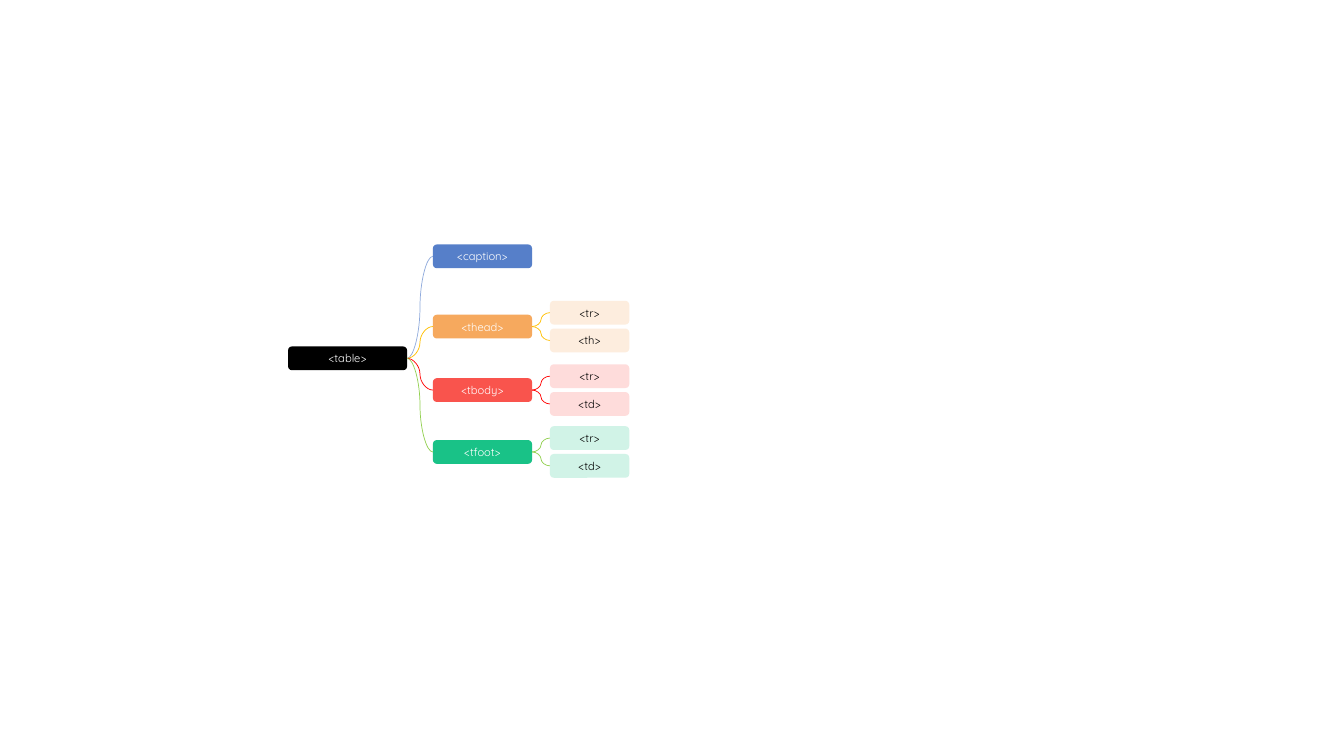
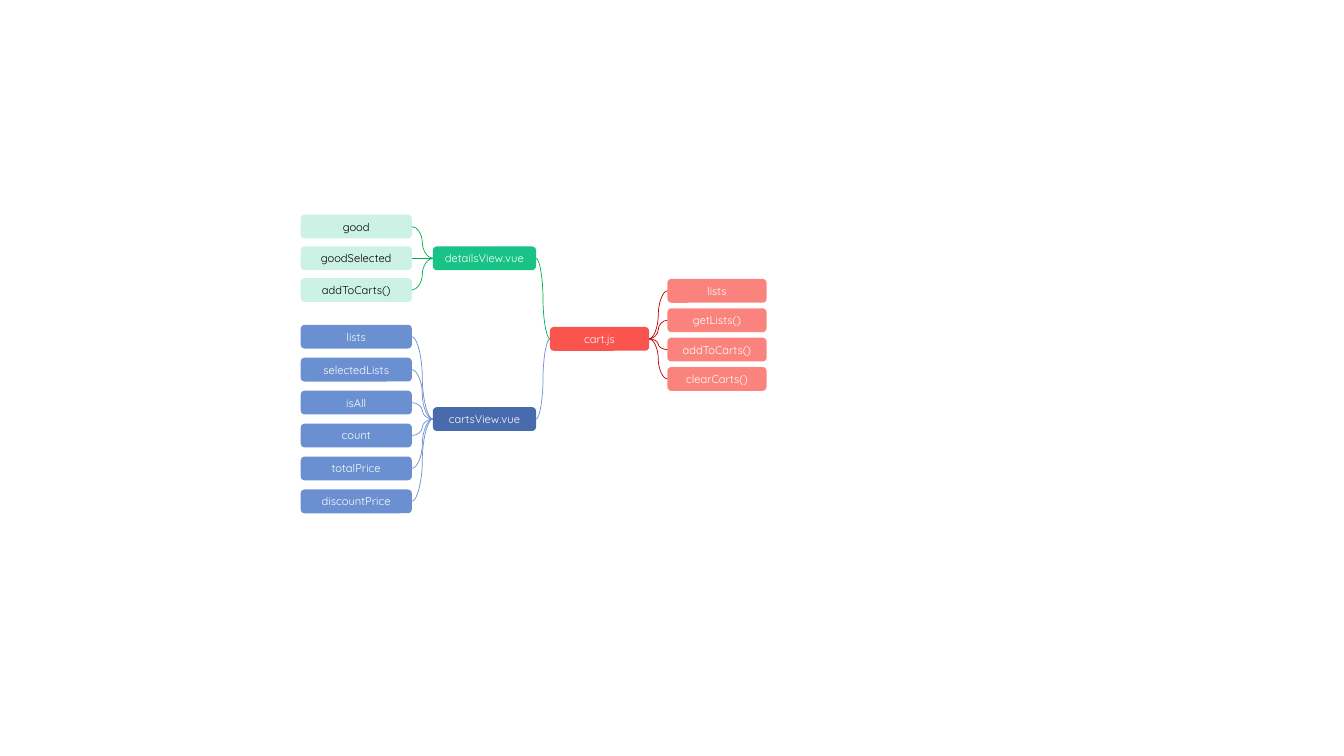
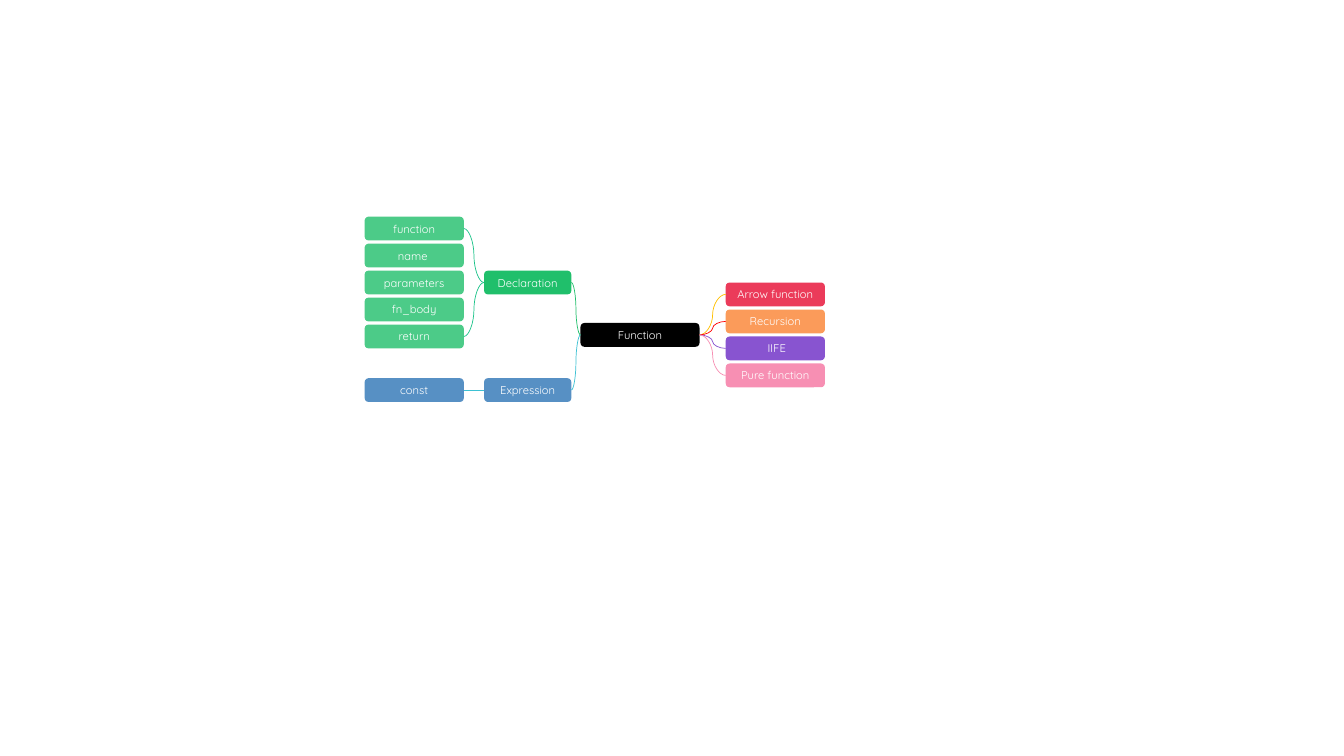
from lxml import etree
from pptx import Presentation
from pptx import util as u
from pptx.dml.color import RGBColor
from pptx.enum import shapes, text
from pptx.oxml.ns import qn

BLACK, WHITE = "000000", "FFFFFF"
BLUE, ORANGE, RED, GREEN = "4472C4", "F6A04D", "F9423A", "00BC7B"
MINT = "CCF2E5"


def rgb(value):
    return RGBColor.from_string(value)


def write(frame, content, font="Quicksand", size=8, color=WHITE):
    para = frame.paragraphs[0]
    para.alignment = text.PP_ALIGN.CENTER
    span = para.add_run()
    span.text = content
    span.font.name = font
    span.font.size = u.Pt(size)
    span.font.color.rgb = rgb(color)


class MindMap:
    node_height = 0.6
    line_width = 0.5
    left_site, right_site = 1, 3

    def __init__(self):
        self.deck = Presentation()
        self.deck.slide_width = u.Cm(33.87)
        self.deck.slide_height = u.Cm(19.05)
        self.page = None

    def new_page(self):
        self.page = self.deck.slides.add_slide(self.deck.slide_layouts[6])

    def node(self, content, left, middle, width, fill, opacity=100, color=WHITE):
        box = self.page.shapes.add_shape(
            shapes.MSO_SHAPE.ROUNDED_RECTANGLE,
            u.Cm(left), u.Cm(middle - self.node_height / 2),
            u.Cm(width), u.Cm(self.node_height))
        box.shadow.inherit = False
        box.line.fill.background()
        box.fill.solid()
        box.fill.fore_color.rgb = rgb(fill)
        if opacity < 100:
            tint = box.fill._xPr.find(qn("a:solidFill"))[0]
            etree.SubElement(tint, qn("a:alpha")).set("val", str(opacity * 1000))
        frame = box.text_frame
        frame.margin_left = frame.margin_right = 0
        frame.margin_top = frame.margin_bottom = 0
        frame.vertical_anchor = text.MSO_ANCHOR.MIDDLE
        write(frame, content, color=color)
        return box

    def column(self, contents, left, middle, pitch, width, fill, **style):
        first = (len(contents) - 1) / 2
        return [self.node(content, left, middle + (row - first) * pitch, width, fill, **style)
                for row, content in enumerate(contents)]

    def link(self, start, end, color):
        level = start.top == end.top
        kind = shapes.MSO_CONNECTOR.STRAIGHT if level else shapes.MSO_CONNECTOR.CURVE
        line = self.page.shapes.add_connector(kind, 0, 0, 0, 0)
        line.begin_connect(start, self.right_site)
        line.end_connect(end, self.left_site)
        line.line.color.rgb = rgb(color)
        line.line.width = u.Pt(self.line_width)
        etree.SubElement(line._element.spPr, qn("a:effectLst"))

    def fan_out(self, start, ends, color):
        for end in ends:
            self.link(start, end, color)

    def fan_in(self, starts, end, color):
        for start in starts:
            self.link(start, end, color)


def table_elements(chart):
    chart.new_page()
    table = chart.node("<table>", 7.26, 9.03, 3, BLACK)
    sections = [
        ("<caption>", 6.46, BLUE, "8FAADC", [], None),
        ("<thead>", 8.23, ORANGE, "FFC000", ["<tr>", "<th>"], "FDECDB"),
        ("<tbody>", 9.83, RED, "FF0000", ["<tr>", "<td>"], "FED9D8"),
        ("<tfoot>", 11.39, GREEN, "92D050", ["<tr>", "<td>"], MINT),
    ]
    for name, middle, fill, line, cells, pale in sections:
        section = chart.node(name, 10.91, middle, 2.5, fill, opacity=90)
        chart.link(table, section, line)
        leaves = chart.column(cells, 13.86, middle, 0.7, 2, pale, opacity=90, color=BLACK)
        chart.fan_out(section, leaves, line)


def cart_store(chart):
    chart.new_page()
    store = chart.node("cart.js", 13.86, 8.54, 2.5, RED, opacity=90)
    members = chart.column(["lists", "getLists()", "addToCarts()", "clearCarts()"],
                           16.82, 8.44, 0.74, 2.5, "FB837D")
    chart.fan_out(store, members, "C00000")
    views = [
        ("detailsView.vue", 6.51, GREEN, "00B050", 0.8,
         ["good", "goodSelected", "addToCarts()"],
         dict(fill=MINT, color=BLACK)),
        ("cartsView.vue", 10.56, "335BA3", "6D91D1", 0.83,
         ["lists", "selectedLists", "isAll", "count", "totalPrice", "discountPrice"],
         dict(fill="5C84CC", opacity=90)),
    ]
    for name, middle, fill, line, pitch, fields, style in views:
        view = chart.node(name, 10.91, middle, 2.6, fill, opacity=90)
        chart.link(view, store, line)
        leaves = chart.column(fields, 7.58, middle, pitch, 2.8, **style)
        chart.fan_in(leaves, view, line)


def function_kinds(chart):
    chart.new_page()
    pitch, center = 0.68, 8.44
    function = chart.node("Function", 14.63, center, 3, BLACK)
    kinds = [
        ("Arrow function", "EB3B5A", 100, "FFC000"),
        ("Recursion", "FA8231", 80, "FF0000"),
        (" IIFE", "8854D0", 100, "8854D0"),
        ("Pure function", "F78FB3", 100, "F78FB3"),
    ]
    for row, (name, fill, opacity, line) in enumerate(kinds):
        kind = chart.node(name, 18.29, center + (row - 1.5) * pitch, 2.5, fill, opacity=opacity)
        chart.link(function, kind, line)

    declaration = chart.node("Declaration", 12.2, 7.12, 2.2, "20BF6B")
    chart.link(declaration, function, "20BF6B")
    parts = chart.column(["function", "name ", "parameters", "fn_body", "return"],
                         9.19, 7.12, pitch, 2.5, "20BF6B", opacity=80)
    chart.fan_in([parts[0], parts[-1]], declaration, "1AC388")

    expression = chart.node("Expression", 12.2, 9.83, 2.2, "2E75B6", opacity=80)
    chart.link(expression, function, "3DC1D3")
    keyword = chart.node("const", 9.19, 9.83, 2.5, "2E75B6", opacity=80)
    chart.link(keyword, expression, "3DC1D3")


def main():
    chart = MindMap()
    table_elements(chart)
    cart_store(chart)
    function_kinds(chart)
    chart.deck.save("out.pptx")


if __name__ == "__main__":
    main()
